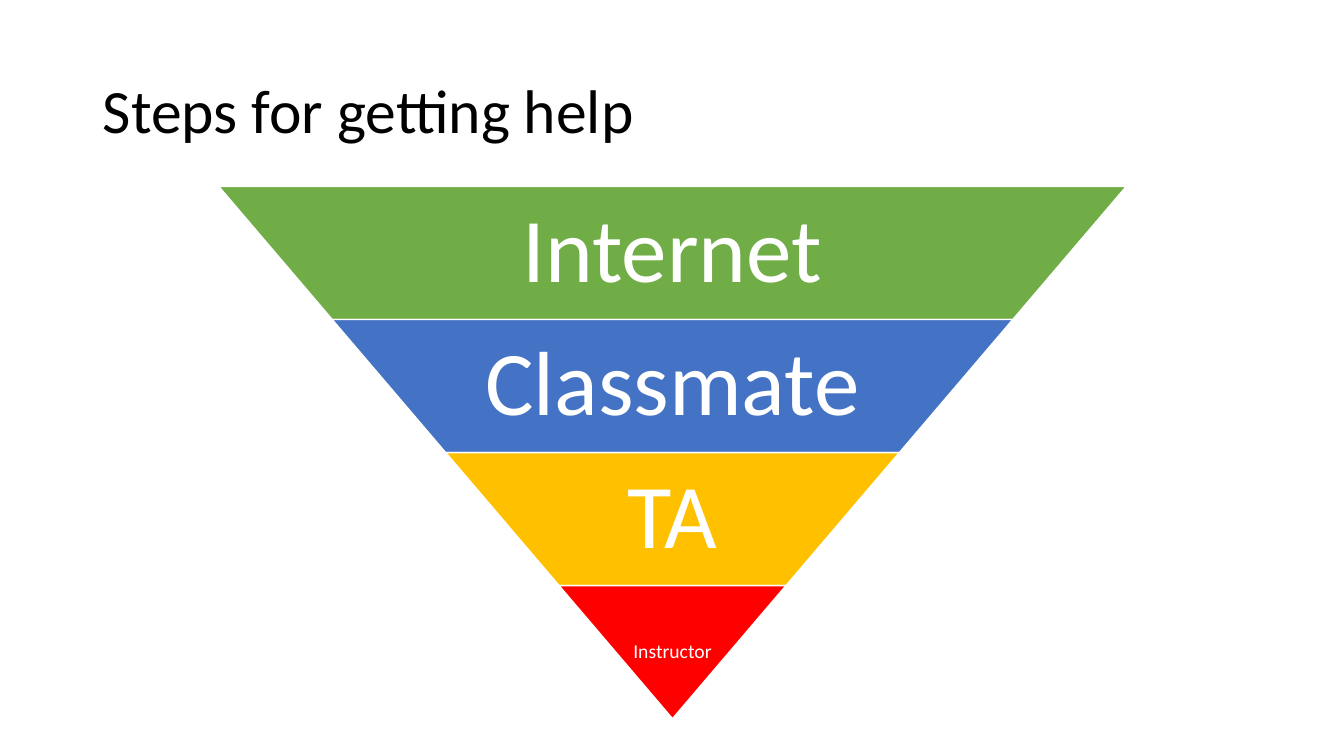
from pptx import Presentation
from pptx.dml.color import RGBColor
from pptx.enum.shapes import MSO_SHAPE
from pptx.enum.text import MSO_ANCHOR, PP_ALIGN
from pptx.util import Inches, Pt

TRAPEZOID = MSO_SHAPE.TRAPEZOID
MIDDLE = MSO_ANCHOR.MIDDLE
LEFT, CENTER = PP_ALIGN.LEFT, PP_ALIGN.CENTER

COLORS = {
    "black": "000000",
    "white": "FFFFFF",
    "green": "70AD47",
    "blue": "4472C4",
    "gold": "FFC000",
    "red": "FF0000",
}


def set_text(tf, text, size, color, align, inset, wrap=True):
    tf.word_wrap = wrap
    tf.vertical_anchor = MIDDLE
    tf.margin_left = tf.margin_right = Inches(inset)
    tf.margin_top = tf.margin_bottom = Inches(inset)
    p = tf.paragraphs[0]
    p.alignment = align
    p.line_spacing = 0.9
    r = p.add_run()
    r.text = text
    r.font.name = "Calibri"
    r.font.size = Pt(size)
    r.font.color.rgb = RGBColor.from_string(COLORS[color])


prs = Presentation()
prs.slide_width = Inches(13.33)
prs.slide_height = Inches(7.5)
s = prs.slides.add_slide(prs.slide_layouts[5])

title = s.shapes.title
title.left, title.top = Inches(0.92), Inches(0.4)
title.width, title.height = Inches(11.5), Inches(1.45)
set_text(title.text_frame, "Steps for getting help", size=44, color="black",
         align=LEFT, inset=0.1)

steps = [
    ("Internet", "green", 65, 0.65, 0.09),
    ("Classmate", "blue", 65, 0.65, 0.09),
    ("TA", "gold", 65, 0.65, 0.09),
    ("Instructor", "red", 14, 1, 0.02),
]
center, top, full_width, height = 6.67, 1.85, 9, 1.32
step_width = full_width / len(steps)
pyramid = s.shapes.add_group_shape()

for i, (text, color, size, text_share, inset) in enumerate(steps):
    width = full_width - i * step_width
    y = Inches(top + i * height)
    sp = pyramid.shapes.add_shape(TRAPEZOID, Inches(center - width / 2), y,
                                  Inches(width), Inches(height))
    sp.rotation = 180
    sp.adjustments[0] = step_width / 2 / height
    sp.shadow.inherit = False
    sp.fill.solid()
    sp.fill.fore_color.rgb = RGBColor.from_string(COLORS[color])
    sp.line.color.rgb = RGBColor.from_string(COLORS["white"])
    sp.line.width = Pt(1)

    text_width = width * text_share
    label = pyramid.shapes.add_textbox(Inches(center - text_width / 2), y,
                                       Inches(text_width), Inches(height))
    set_text(label.text_frame, text, size=size, color="white",
             align=CENTER, inset=inset)

prs.save("out.pptx")
